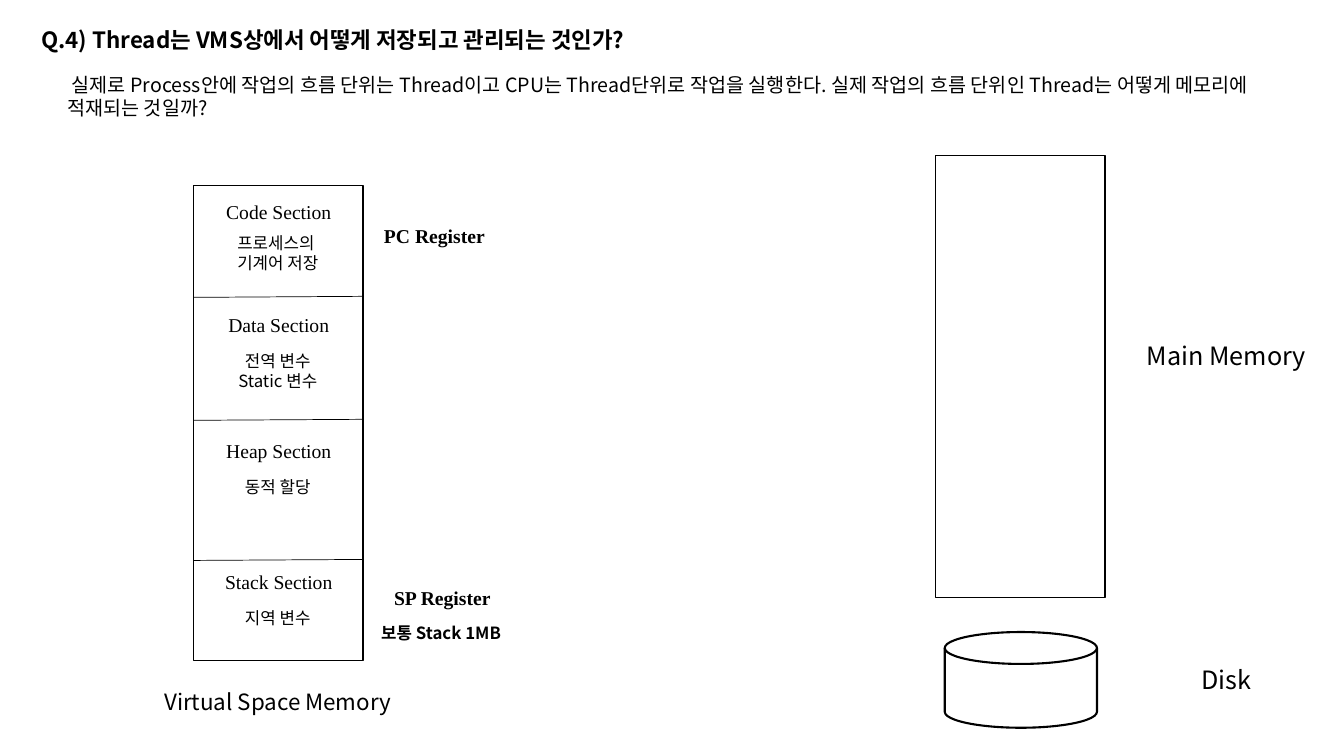
"""Builds a slide on how threads are stored in virtual memory."""
import lxml.etree
import pptx
import pptx.dml.color
import pptx.enum.shapes
import pptx.enum.text
import pptx.oxml.ns
import pptx.util

Inches = pptx.util.Inches
Pt = pptx.util.Pt
Shape = pptx.enum.shapes.MSO_SHAPE
Align = pptx.enum.text.PP_ALIGN
qn = pptx.oxml.ns.qn

BLACK = pptx.dml.color.RGBColor(0, 0, 0)
WHITE = pptx.dml.color.RGBColor(255, 255, 255)
SANS = "Noto Sans CJK KR"
SERIF = "Times New Roman"


class Page:
    def __init__(self, deck):
        self.slide = deck.slides.add_slide(deck.slide_layouts[5])
        self.shapes = self.slide.shapes
        fill = self.slide.background.fill
        fill.solid()
        fill.fore_color.rgb = WHITE

    def style(self, box, words, size, font=SANS, bold=False, align=Align.LEFT):
        frame = box.text_frame
        frame.text = words
        frame.word_wrap = True
        frame.auto_size = pptx.enum.text.MSO_AUTO_SIZE.SHAPE_TO_FIT_TEXT
        frame.vertical_anchor = pptx.enum.text.MSO_ANCHOR.TOP
        for para in frame.paragraphs:
            para.alignment = align
            for run in para.runs:
                run.font.size = Pt(size)
                run.font.bold = bold
                run.font.color.rgb = BLACK
                run.font.name = font
                east = lxml.etree.SubElement(run.font._element, qn("a:ea"))
                east.set("typeface", font)

    def title(self, x, y, w, h, words, size):
        box = self.shapes.title
        box.left, box.top = Inches(x), Inches(y)
        box.width, box.height = Inches(w), Inches(h)
        self.style(box, words, size, bold=True)

    def text(self, x, y, w, h, words, size, **look):
        box = self.shapes.add_textbox(Inches(x), Inches(y), Inches(w), Inches(h))
        self.style(box, words, size, **look)

    def label(self, x, y, w, h, words, size, **look):
        self.text(x, y, w, h, words, size, align=Align.CENTER, **look)

    def shape(self, kind, x, y, w, h, width):
        form = self.shapes.add_shape(kind, Inches(x), Inches(y), Inches(w), Inches(h))
        form.shadow.inherit = False
        form.fill.background()
        form.line.color.rgb = BLACK
        form.line.width = Pt(width)

    def line(self, x1, y1, x2, y2, width):
        rule = self.shapes.add_connector(
            pptx.enum.shapes.MSO_CONNECTOR.STRAIGHT,
            Inches(x1), Inches(y1), Inches(x2), Inches(y2))
        rule.line.color.rgb = BLACK
        rule.line.width = Pt(width)
        lxml.etree.SubElement(rule._element.spPr, qn("a:effectLst"))


def main():
    deck = pptx.Presentation()
    deck.slide_width, deck.slide_height = Inches(13.33), Inches(7.5)
    page = Page(deck)

    page.title(0.31, 0.21, 12.08, 0.37,
               "Q.4) Thread는 VMS상에서 어떻게 저장되고 관리되는 것인가?", 16)
    page.text(0.57, 0.67, 12.33, 0.57,
              " 실제로 Process안에 작업의 흐름 단위는 Thread이고 CPU는 Thread단위로 "
              "작업을 실행한다. 실제 작업의 흐름 단위인 Thread는 어떻게 "
              "메모리에 적재되는 것일까?", 14)

    page.shape(Shape.RECTANGLE, 9.28, 1.54, 1.68, 4.39, 1)
    page.shape(Shape.FLOWCHART_MAGNETIC_DISK, 9.37, 6.27, 1.51, 0.95, 1.5)
    for y, name in ((3.33, "Main Memory"), (6.54, "Disk")):
        page.label(11.13, y, 2.07, 0.4, name, 18)

    left, wide = 1.92, 1.68
    page.shape(Shape.RECTANGLE, left, 1.84, wide, 4.71, 1)
    page.label(1.21, 6.78, 3.09, 0.37, "Virtual Space Memory", 16)
    for y in (2.95, 4.17, 5.56):
        page.line(left, y, left + wide, y - 0.01, 0.5)

    parts = (
        ("Code", 1.93, 2.26, "프로세스의 \n기계어 저장"),
        ("Data", 3.06, 3.43, "전역 변수\nStatic 변수"),
        ("Heap", 4.31, 4.68, "동적 할당"),
        ("Stack", 5.61, 5.98, "지역 변수"),
    )
    for name, top, low, note in parts:
        page.label(2.04, top, 1.45, 0.34, f"{name} Section", 14, font=SERIF)
        tall = 0.5 if "\n" in note else 0.3
        page.label(2.13, low, 1.25, tall, note, 12)

    for x, y, name in ((3.71, 2.17, "PC"), (3.81, 5.76, "SP")):
        page.text(x, y, 1.32, 0.34, f"{name} Register", 14, font=SERIF, bold=True)
    page.label(3.32, 6.13, 2.11, 0.3, "보통 Stack 1MB", 12, bold=True)

    deck.save("out.pptx")


if __name__ == "__main__":
    main()
